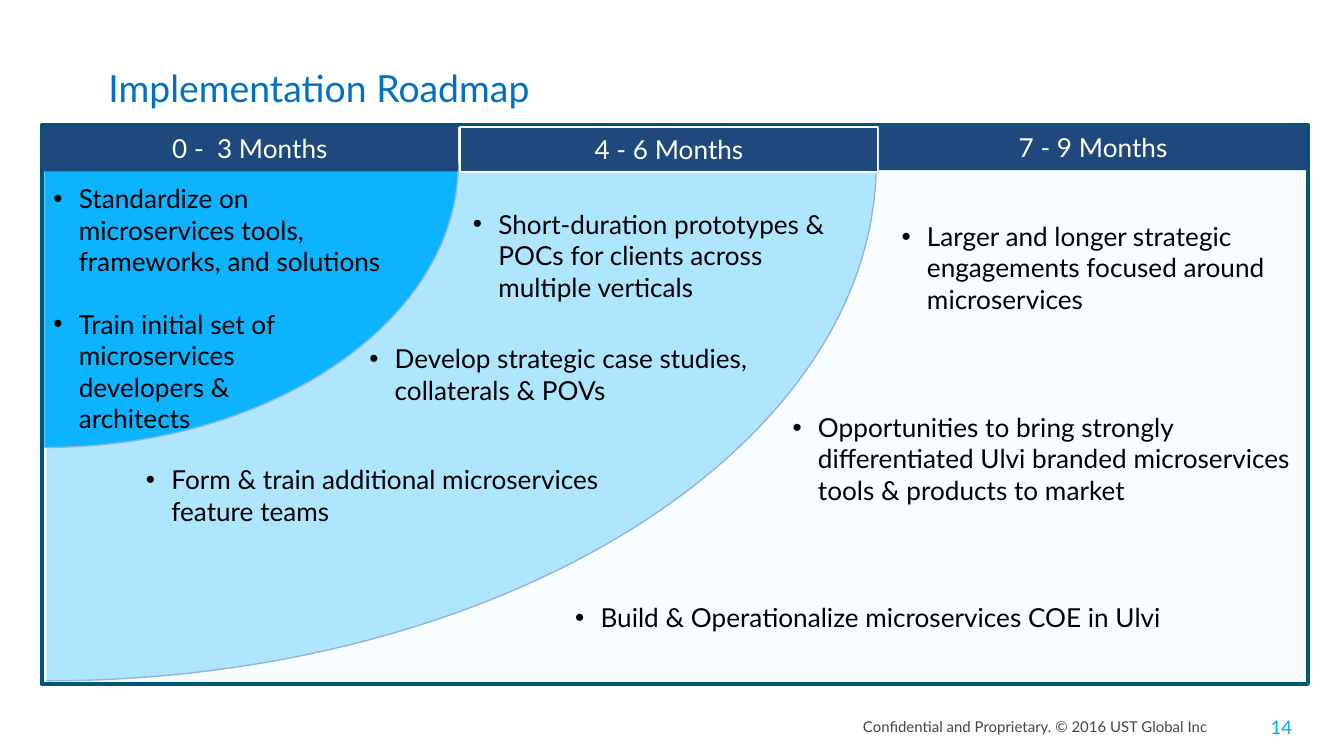
from copy import deepcopy

from pptx import Presentation
from pptx.dml.color import RGBColor
from pptx.enum.shapes import MSO_SHAPE as Shape
from pptx.enum.text import MSO_ANCHOR as Anchor, PP_ALIGN as Align
from pptx.oxml.ns import qn
from pptx.util import Cm, Pt
from lxml.etree import SubElement

FONT = "Lato"
BEND = 0.55  # handle length of a quarter ellipse
HUES = {
    "title": "0070C0", "head": "1F497D", "white": "FFFFFF", "text": "000000",
    "frame": "005677", "pale": "AEE6FF", "bright": "0CB3FF", "arc": "95B3D7",
    "foot": "454545", "page": "00ADEE",
}

# Content: places are left, top, width, height in cm
TITLE = ("Implementation Roadmap", (1.8, 0.74, 23.27, 1.7))
PANEL = (0.79, 2.36, 23.93, 10.57)
HEADS = [  # label, place, edge
    ("0 -  3 Months", (0.79, 2.38, 7.87, 0.86), None),
    ("4 - 6 Months", (8.69, 2.4, 7.91, 0.86), "white"),
    ("7 - 9 Months", (16.61, 2.36, 8.1, 0.86), None),
]
WAVES = [  # place, fill
    ((0.88, 3.07, 15.68, 9.8), "pale"),
    ((0.84, 3.1, 7.82, 5.36), "bright"),
]
NOTES = [
    (["Standardize on microservices tools, frameworks, and solutions",
      "Train initial set of microservices\vdevelopers &\varchitects"],
     (0.76, 3.33, 6.99, 5.05)),
    (["Short-duration prototypes & POCs for clients across multiple verticals"],
     (8.69, 3.81, 7.77, 2.06)),
    (["Develop strategic case studies, collaterals & POVs"],
     (6.73, 6.35, 8.81, 1.45)),
    (["Form & train additional microservices feature teams"],
     (2.51, 8.64, 9.35, 1.45)),
    (["Larger and longer strategic engagements focused around microservices"],
     (16.79, 4.04, 7.37, 2.06)),
    (["Opportunities to bring strongly differentiated Ulvi branded "
      "microservices tools & products to market"],
     (14.73, 7.65, 9.98, 2.06)),
    (["Build & Operationalize microservices COE in Ulvi"],
     (10.62, 11.25, 13.41, 0.86)),
]
FOOT = ("Confidential and Proprietary. © 2016 UST Global Inc",
        (16, 13.44, 7.14, 0.58))
PAGE = ("14", (23.18, 13.36, 2.08, 0.76))

deck = Presentation()
deck.slide_width, deck.slide_height = Cm(25.4), Cm(14.29)
slide = deck.slides.add_slide(deck.slide_layouts[6])
shapes = slide.shapes


def hue(name):
    return RGBColor.from_string(HUES[name])


def paint(shape, fill, edge=None, width=0.75):
    shape.shadow.inherit = False
    shape.fill.solid()
    shape.fill.fore_color.rgb = hue(fill)
    if edge:
        shape.line.color.rgb = hue(edge)
        shape.line.width = Pt(width)
    else:
        shape.line.fill.background()


def block(place, **style):
    shape = shapes.add_shape(Shape.RECTANGLE, *map(Cm, place))
    paint(shape, **style)
    return shape


def write(lines, place=None, box=None, size=14, color="text", align=Align.LEFT,
          anchor=Anchor.TOP, bullet=False, wrap=True, foot=0.13):
    frame = (box or shapes.add_textbox(*map(Cm, place))).text_frame
    frame.word_wrap = wrap
    frame.vertical_anchor = anchor
    frame.margin_bottom = Cm(foot)
    for i, line in enumerate(lines):
        para = frame.add_paragraph() if i else frame.paragraphs[0]
        para.text = line
        para.alignment = align
        if i:
            para.space_before = Pt(16.8)
        if bullet:
            props = para._p.get_or_add_pPr()
            props.set("marL", str(Cm(0.48)))
            props.set("indent", str(-Cm(0.48)))
            SubElement(props, qn("a:buFont"), typeface="Arial")
            SubElement(props, qn("a:buChar"), char="•")
        for run in para.runs:
            run.font.name, run.font.size = FONT, Pt(size)
            run.font.color.rgb = hue(color)


def wave(place, fill):
    """Quarter ellipse around its top left corner, lined on the arc only."""
    x, y, wide, high = map(Cm, place)
    pen = shapes.build_freeform(x, y + high)
    pen.add_line_segments([(x + wide, y), (x, y)], close=True)
    shape = pen.convert_to_shape()
    paint(shape, fill, "arc")
    area = next(shape._element.iter(qn("a:path")))
    bow = area[1]
    bow.tag = qn("a:cubicBezTo")
    handles = [(BEND * wide, high), (wide, BEND * high)]
    for i, (across, down) in enumerate(handles):
        point = deepcopy(bow[0])
        point.set("x", str(int(across)))
        point.set("y", str(int(down)))
        bow.insert(i, point)
    rim = deepcopy(area)
    for part in rim[2:]:
        rim.remove(part)
    rim.set("fill", "none")
    area.set("stroke", "0")
    area.addnext(rim)


# Frame and title
panel = block(PANEL, fill="pale", edge="frame", width=2)
tint = panel.fill._xPr.find(qn("a:solidFill"))[0]
SubElement(tint, qn("a:alpha"), val="8000")
write([TITLE[0]], TITLE[1], size=20, color="title", anchor=Anchor.MIDDLE, foot=0)

# Quarter ellipses, then the period headers over them
for item in WAVES:
    wave(*item)
for label, place, edge in HEADS:
    write([label], box=block(place, fill="head", edge=edge, width=1),
          color="white", align=Align.CENTER, anchor=Anchor.MIDDLE)

# Activities
for lines, place in NOTES:
    write(lines, place, bullet=True)

# Footer
write([FOOT[0]], FOOT[1], size=8, color="foot", align=Align.CENTER, wrap=False)
write([PAGE[0]], PAGE[1], size=10, color="page", align=Align.CENTER,
      anchor=Anchor.MIDDLE)

deck.save("out.pptx")
